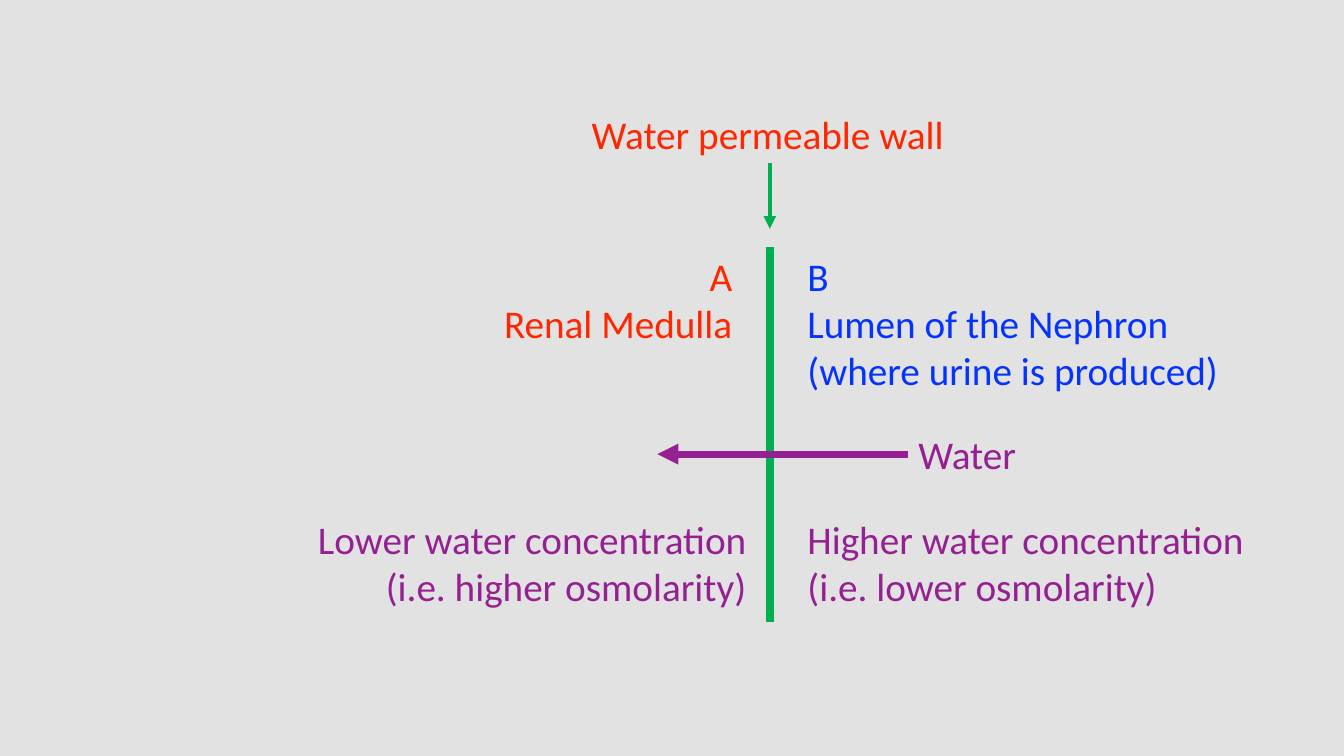
from pptx import Presentation
from pptx.dml.color import RGBColor
from pptx.enum.shapes import MSO_CONNECTOR as Conn
from pptx.enum.text import MSO_AUTO_SIZE as Fit, PP_ALIGN as Align
from pptx.oxml.ns import qn
from pptx.util import Inches, Pt
from lxml.etree import SubElement

RED, BLUE, GREEN, PURPLE = "FF2600", "0432FF", "00B050", "942092"
ROW = 0.57  # height of a one-line label


def rgb(code):
    return RGBColor.from_string(code)


def label(slide, box, lines, color, align=Align.LEFT, wrap=False):
    frame = slide.shapes.add_textbox(*map(Inches, box)).text_frame
    frame.word_wrap = wrap
    frame.auto_size = Fit.SHAPE_TO_FIT_TEXT
    frame.text = "\n".join(lines)
    look = {"size": Pt(28), "name": "Calibri"}
    for para in frame.paragraphs:
        para.alignment = align
        font = para.runs[0].font
        for key, value in look.items():
            setattr(font, key, value)
        font.color.rgb = rgb(color)


def line(slide, start, end, color, width, arrow=False):
    link = slide.shapes.add_connector(
        Conn.STRAIGHT, *map(Inches, (*start, *end)))
    link.line.color.rgb = rgb(color)
    link.line.width = Pt(width)
    props = link._element.spPr
    if arrow:
        SubElement(props.find(qn("a:ln")), qn("a:tailEnd"), type="triangle")
    SubElement(props, qn("a:effectLst"))


def wall(slide, x, y, w, h):
    """Title with an arrow down to the upright wall."""
    mid, base = x + w / 2, y + ROW
    label(slide, (x, y, w, ROW), ["Water permeable wall"], RED)
    line(slide, (mid, base), (mid, base + 0.65), GREEN, 3, arrow=True)
    line(slide, (mid, y + 1.4), (mid, y + h), GREEN, 6)


def left(slide, x, y, w, h):
    """Side A, set flush right against the wall."""
    name, pair = 2.49, 1.04
    label(slide, (x + w - name - 0.14, y, name, pair),
          ["A", "Renal Medulla"], RED, Align.RIGHT)
    label(slide, (x, y + h - pair, w, pair),
          ["Lower water concentration", "(i.e. higher osmolarity)"],
          PURPLE, Align.RIGHT)


def right(slide, x, y, w, h):
    """Side B, set flush left against the wall."""
    pair = 1.04
    label(slide, (x, y, 4.37, 1.51),
          ["B", "Lumen of the Nephron (where urine is produced)"],
          BLUE, wrap=True)
    label(slide, (x, y + h - pair, w, pair),
          ["Higher water concentration", "(i.e. lower osmolarity)"], PURPLE)


def flow(slide, x, y, w, h):
    """Water label with an arrow to the left across the wall."""
    name = 1.18
    edge, mid = x + w - name, y + h / 2
    label(slide, (edge, y, name, h), ["Water"], PURPLE)
    line(slide, (edge, mid), (x, mid), PURPLE, 5, arrow=True)


def main():
    deck = Presentation()
    deck.slide_width, deck.slide_height = Inches(13.33), Inches(7.5)
    slide = deck.slides.add_slide(deck.slide_layouts[6])
    back = slide.background.fill
    back.solid()
    back.fore_color.rgb = rgb("E2E2E2")
    wall(slide, 5.77, 1.05, 3.73, 5.12)
    left(slide, 3, 2.45, 4.5, 3.65)
    right(slide, 7.91, 2.45, 4.58, 3.65)
    flow(slide, 6.52, 4.22, 3.67, ROW)
    deck.save("out.pptx")


if __name__ == "__main__":
    main()
